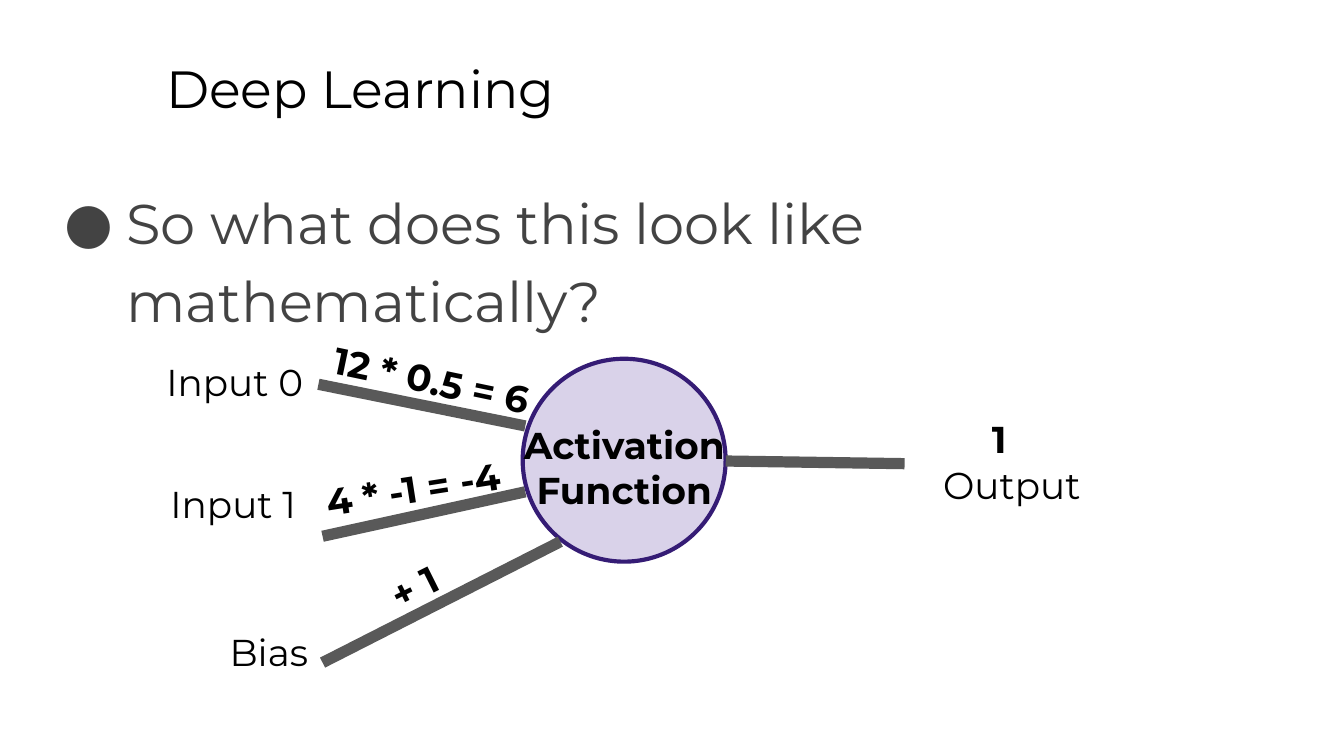
import pptx
import pptx.dml.color
import pptx.enum.shapes
import pptx.enum.text
import pptx.oxml.ns
import pptx.util
from lxml import etree

Pt = pptx.util.Pt
RGBColor = pptx.dml.color.RGBColor
PP_ALIGN = pptx.enum.text.PP_ALIGN
qn = pptx.oxml.ns.qn

BLACK = RGBColor(0x00, 0x00, 0x00)
BODY_GRAY = RGBColor(0x43, 0x43, 0x43)
LINE_GRAY = RGBColor(0x59, 0x59, 0x59)
LAVENDER = RGBColor(0xD9, 0xD2, 0xE9)
PURPLE = RGBColor(0x35, 0x1C, 0x75)
FONT = "Montserrat"
INSET = 7.2
LABEL_HEIGHT = 48.2


def add_text(slide, box, text, size=20, color=BLACK, bold=False,
             align=PP_ALIGN.LEFT, rotation=0, left_inset=INSET):
    sp = slide.shapes.add_textbox(*[Pt(v) for v in box])
    sp.rotation = rotation
    tf = sp.text_frame
    tf.word_wrap = True
    tf.margin_left = Pt(left_inset)
    tf.margin_top = tf.margin_right = tf.margin_bottom = Pt(INSET)
    tf.text = text
    for p in tf.paragraphs:
        p.alignment = align
        for r in p.runs:
            r.font.name = FONT
            r.font.size = Pt(size)
            r.font.bold = bold
            r.font.color.rgb = color
    return sp


def add_bullet(slide, box, text):
    sp = add_text(slide, box, text, size=30, color=BODY_GRAY)
    p = sp.text_frame.paragraphs[0]
    p.line_spacing = 1.15
    pPr = p._p.get_or_add_pPr()
    pPr.set("marL", str(Pt(36)))
    pPr.set("indent", str(Pt(-33)))
    bullet_color = etree.SubElement(pPr, qn("a:buClr"))
    etree.SubElement(bullet_color, qn("a:srgbClr"), val=str(BODY_GRAY))
    etree.SubElement(pPr, qn("a:buFont"), typeface=FONT)
    etree.SubElement(pPr, qn("a:buChar"), char="●")


def add_link(slide, x1, y1, x2, y2):
    line = slide.shapes.add_connector(
        pptx.enum.shapes.MSO_CONNECTOR.STRAIGHT, Pt(x1), Pt(y1), Pt(x2), Pt(y2))
    line.line.color.rgb = LINE_GRAY
    line.line.width = Pt(6)
    etree.SubElement(line._element.spPr, qn("a:effectLst"))


def add_neuron(slide, left, top):
    """Draw the perceptron with its inputs, weights, bias and output."""
    circle = slide.shapes.add_shape(
        pptx.enum.shapes.MSO_SHAPE.OVAL,
        Pt(left + 198), Pt(top + 7.2), Pt(108.7), Pt(108.7))
    circle.shadow.inherit = False
    circle.fill.solid()
    circle.fill.fore_color.rgb = LAVENDER
    circle.line.color.rgb = PURPLE
    circle.line.width = Pt(2.25)

    links = [
        (199.4, 43.2, 88.6, 20.9),
        (199.4, 78.5, 90.8, 102.3),
        (402.6, 63.4, 306.8, 62),
        (218.2, 105.2, 90.8, 170),
    ]
    for x1, y1, x2, y2 in links:
        add_link(slide, left + x1, top + y1, left + x2, top + y2)

    names = [
        ("Input 0", 0, 0),
        ("Input 1", 2.2, 65.6),
        ("Bias", 33.9, 144.8),
        ("Output", 416.2, 55.5),
    ]
    for text, x, y in names:
        add_text(slide, (left + x, top + y, 164, LABEL_HEIGHT), text)

    values = [
        ("Activation\nFunction", 190.9, 33.9, 123.1, {"align": PP_ALIGN.CENTER}),
        ("12 * 0.5 = 6", 87.9, 0, 130.3, {"rotation": 11.8}),
        ("4 * -1 = -4", 85.8, 55.5, 133.9, {"rotation": 351.1}),
        ("+ 1", 112.4, 90.8, 133.9, {"rotation": 333.5, "left_inset": 12.5}),
        ("1", 442.2, 31, 94.3, {}),
    ]
    for text, x, y, width, style in values:
        add_text(slide, (left + x, top + y, width, LABEL_HEIGHT), text,
                 bold=True, **style)


def main():
    prs = pptx.Presentation()
    prs.slide_width, prs.slide_height = Pt(720), Pt(405)
    slide = prs.slides.add_slide(prs.slide_layouts[6])
    add_text(slide, (82, 23, 613.4, 45.4), "Deep Learning", size=28)
    add_bullet(slide, (24.5, 88.6, 671, 269.3),
               "So what does this look like mathematically?")
    add_neuron(slide, 82, 185)
    prs.save("out.pptx")


if __name__ == "__main__":
    main()
